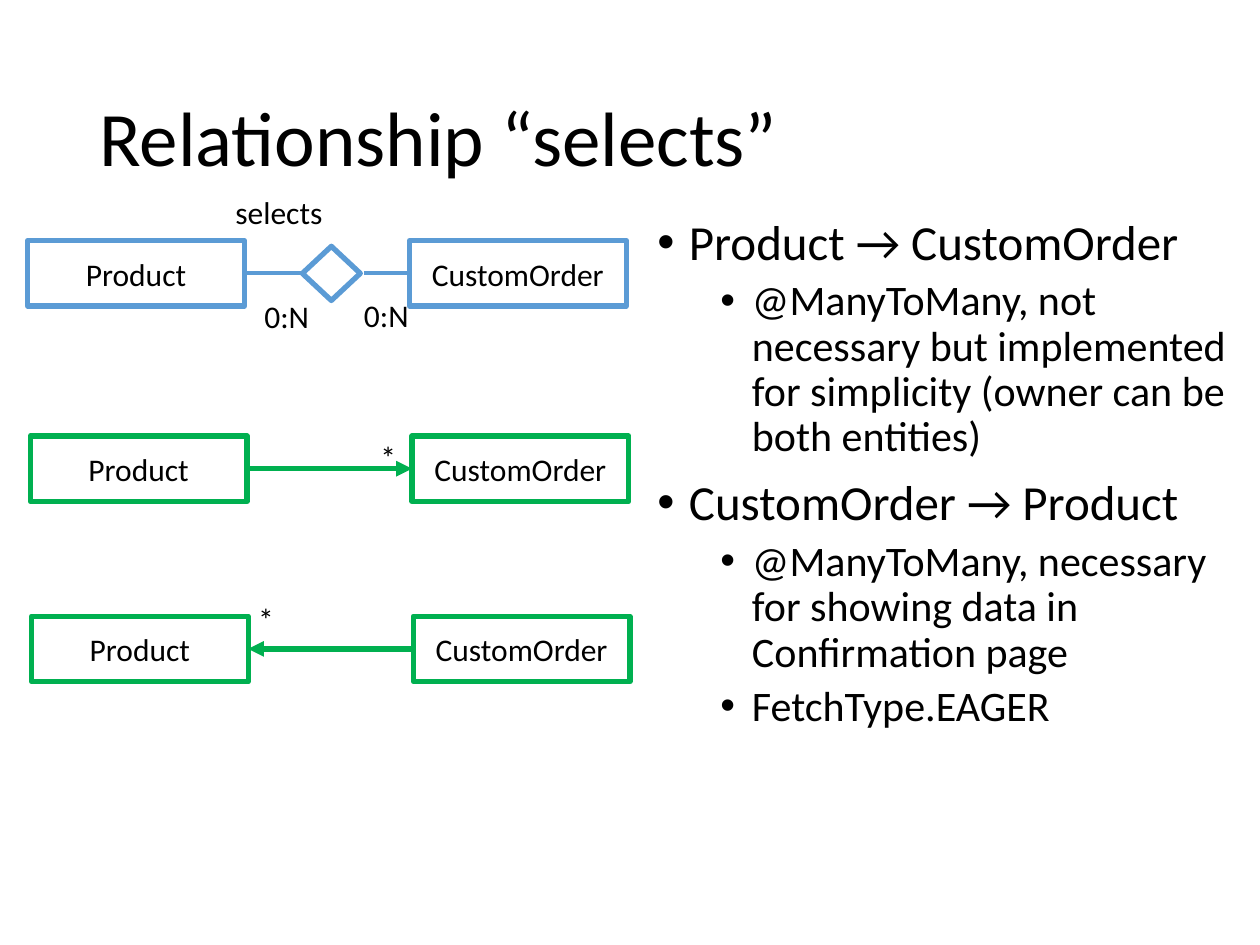
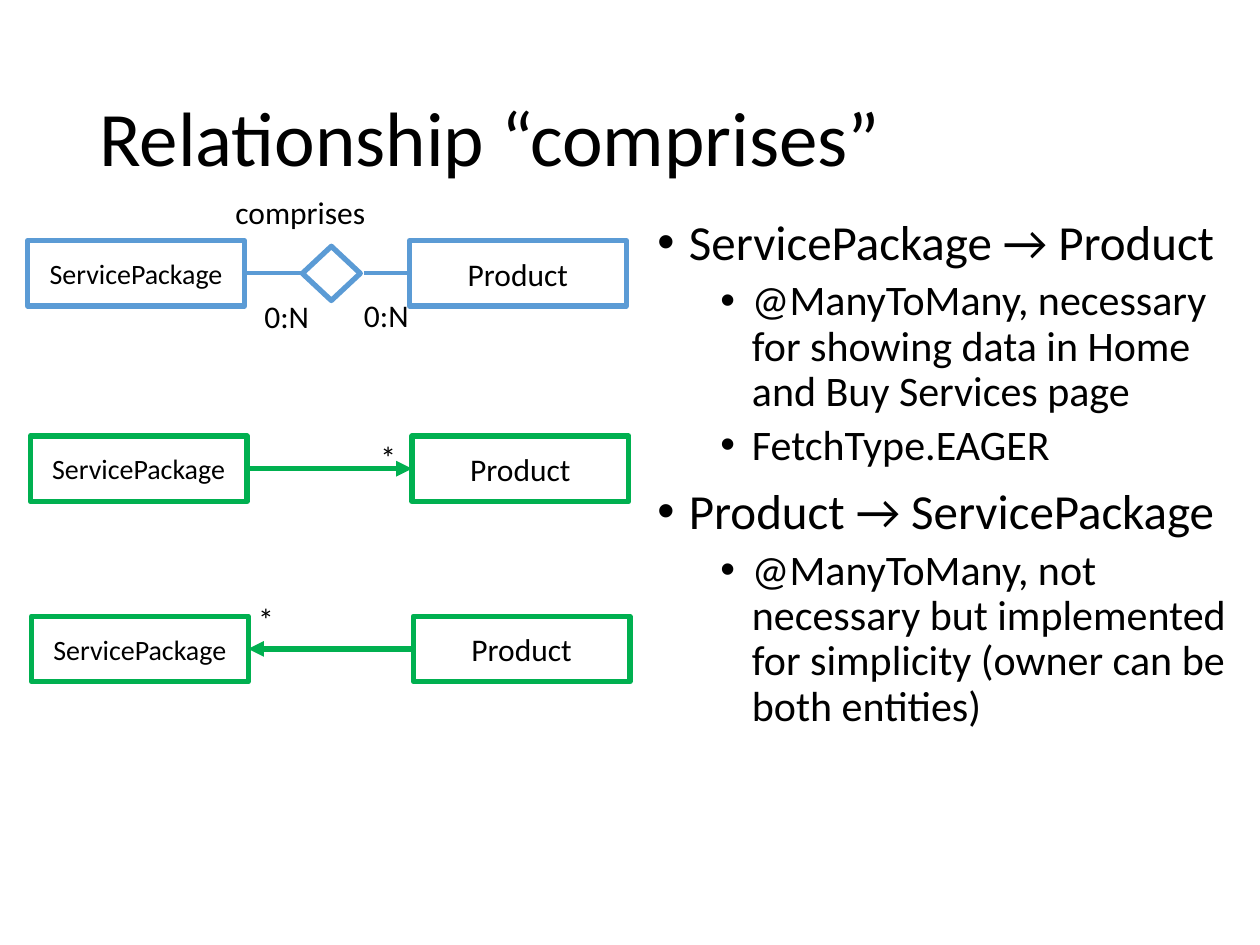
from dataclasses import dataclass
from typing import Any, Optional

from lxml.etree import SubElement
from pptx import Presentation
from pptx.dml.color import RGBColor
from pptx.enum.shapes import MSO_CONNECTOR, MSO_SHAPE
from pptx.enum.text import MSO_ANCHOR, MSO_AUTO_SIZE, PP_ALIGN
from pptx.oxml.ns import qn
from pptx.util import Inches, Pt


@dataclass(frozen=True)
class Theme:
    font: str = "Calibri"
    bullet_font: str = "Arial"
    text: RGBColor = RGBColor(0x00, 0x00, 0x00)
    paper: RGBColor = RGBColor(0xFF, 0xFF, 0xFF)
    schema: RGBColor = RGBColor(0x5B, 0x9B, 0xD5)
    mapping: RGBColor = RGBColor(0x00, 0xB0, 0x50)
    title_size: float = 44
    label_size: float = 18
    outline: float = 3
    thin_line: float = 2.25


@dataclass(frozen=True)
class Entity:
    name: str
    size: float = 18


@dataclass(frozen=True)
class Bullet:
    text: str
    level: int = 0


@dataclass(frozen=True)
class Relationship:
    name: str
    name_width: float
    source: Entity
    target: Entity
    bullets: tuple[Bullet, ...]


@dataclass(frozen=True)
class Row:
    left: float
    top: float
    color: RGBColor
    filled: bool = False


@dataclass(frozen=True)
class MappingRow:
    row: Row
    arrow_end: str
    star_left: float
    star_top: float


@dataclass(frozen=True)
class BulletStyle:
    size: float
    indent: float
    space_before: float


THEME = Theme()
BOX_WIDTH, BOX_HEIGHT, BOX_STEP = 1.72, 0.52, 3.03
DIAMOND_LEFT, DIAMOND_WIDTH, DIAMOND_HEIGHT = 2.4, 0.46, 0.43
DIAMOND_GAP = 0.03
LABEL_HEIGHT = 0.4
SCHEMA_ROW = Row(0.22, 1.91, THEME.schema, True)
MAPPING_ROWS = (
    MappingRow(Row(0.24, 3.46, THEME.mapping), "headEnd", 2.92, 3.43),
    MappingRow(Row(0.25, 4.89, THEME.mapping), "tailEnd", 1.95, 4.71),
)
BULLET_STYLES = (BulletStyle(28, 0.25, 10), BulletStyle(24, 0.75, 5))

ORDER = Entity("CustomOrder")
PRODUCT = Entity("Product")
PACKAGE = Entity("ServicePackage", 16)
OPTIONAL = Bullet(
    "@ManyToMany, not necessary but implemented for simplicity "
    "(owner can be both entities)", 1)
EAGER = Bullet("FetchType.EAGER", 1)

RELATIONSHIPS = (
    Relationship("selects", 0.9, PRODUCT, ORDER, (
        Bullet("Product → CustomOrder"),
        OPTIONAL,
        Bullet("CustomOrder → Product"),
        Bullet("@ManyToMany, necessary for showing data in Confirmation page", 1),
        EAGER,
    )),
    Relationship("comprises", 1.24, PACKAGE, PRODUCT, (
        Bullet("ServicePackage → Product"),
        Bullet("@ManyToMany, necessary for showing data in Home "
               "and Buy Services page", 1),
        EAGER,
        Bullet("Product → ServicePackage"),
        OPTIONAL,
    )),
)


def apply_format(target: Any, values: dict[str, Any]) -> None:
    for name, value in values.items():
        setattr(target, name, value)


def write(para: Any, text: str, size: float) -> None:
    span = para.add_run()
    span.text = text
    apply_format(span.font, {"name": THEME.font, "size": Pt(size)})
    span.font.color.rgb = THEME.text


def add_text_box(page: Any, left: float, top: float, width: float,
                 height: float, **values: Any) -> Any:
    box = page.shapes.add_textbox(
        Inches(left), Inches(top), Inches(width), Inches(height))
    apply_format(box.text_frame, {"word_wrap": True, **values})
    return box.text_frame


def add_title(page: Any, text: str) -> None:
    frame = add_text_box(page, 0.69, 0.4, 8.62, 1.45,
                         vertical_anchor=MSO_ANCHOR.MIDDLE)
    para = frame.paragraphs[0]
    para.line_spacing = 0.9
    write(para, text, THEME.title_size)


def add_label(page: Any, text: str, left: float, top: float,
              width: float) -> None:
    frame = add_text_box(page, left, top, width, LABEL_HEIGHT, word_wrap=False,
                         auto_size=MSO_AUTO_SIZE.SHAPE_TO_FIT_TEXT)
    write(frame.paragraphs[0], text, THEME.label_size)


def add_outlined(page: Any, kind: Any, left: float, top: float, width: float,
                 height: float, color: RGBColor, filled: bool) -> Any:
    shape = page.shapes.add_shape(
        kind, Inches(left), Inches(top), Inches(width), Inches(height))
    shape.shadow.inherit = False
    if filled:
        shape.fill.solid()
        shape.fill.fore_color.rgb = THEME.paper
    else:
        shape.fill.background()
    shape.line.color.rgb = color
    shape.line.width = Pt(THEME.outline)
    return shape


def add_entities(page: Any, row: Row, entities: tuple[Entity, ...]) -> list[Any]:
    boxes = []
    for index, entity in enumerate(entities):
        box = add_outlined(page, MSO_SHAPE.RECTANGLE, row.left + index * BOX_STEP,
                           row.top, BOX_WIDTH, BOX_HEIGHT, row.color, row.filled)
        apply_format(box.text_frame, {"word_wrap": True,
                                      "vertical_anchor": MSO_ANCHOR.MIDDLE})
        para = box.text_frame.paragraphs[0]
        para.alignment = PP_ALIGN.CENTER
        write(para, entity.name, entity.size)
        boxes.append(box)
    return boxes


def add_link(page: Any, right_box: Any, end_left: float, middle: float,
             color: RGBColor, width: float, left_shape: Optional[Any] = None,
             arrow_end: Optional[str] = None) -> None:
    link = page.shapes.add_connector(
        MSO_CONNECTOR.STRAIGHT, right_box.left, Inches(middle),
        Inches(end_left), Inches(middle))
    link.begin_connect(right_box, 1)
    if left_shape is not None:
        link.end_connect(left_shape, 3)
    link.line.color.rgb = color
    link.line.width = Pt(width)
    if arrow_end:
        SubElement(link.line._get_or_add_ln(), qn(f"a:{arrow_end}"), type="triangle")
    SubElement(link._element.spPr, qn("a:effectLst"))


def add_schema(page: Any, relationship: Relationship) -> None:
    row = SCHEMA_ROW
    middle = row.top + BOX_HEIGHT / 2
    source, target = add_entities(
        page, row, (relationship.source, relationship.target))
    diamond = add_outlined(
        page, MSO_SHAPE.DIAMOND, DIAMOND_LEFT, middle - DIAMOND_HEIGHT / 2,
        DIAMOND_WIDTH, DIAMOND_HEIGHT, row.color, row.filled)
    add_link(page, target, DIAMOND_LEFT + DIAMOND_WIDTH + DIAMOND_GAP, middle,
             row.color, THEME.thin_line)
    add_link(page, diamond, row.left + BOX_WIDTH, middle, row.color,
             THEME.thin_line, source)
    add_label(page, "0:N", 2.79, 2.3, 0.56)
    add_label(page, "0:N", 2, 2.31, 0.56)
    add_label(page, relationship.name, 1.77, 1.48, relationship.name_width)


def add_mapping(page: Any, mapping: MappingRow, relationship: Relationship) -> None:
    row = mapping.row
    source, target = add_entities(
        page, row, (relationship.source, relationship.target))
    add_link(page, target, row.left + BOX_WIDTH, row.top + BOX_HEIGHT / 2,
             row.color, THEME.outline, source, mapping.arrow_end)
    add_label(page, "*", mapping.star_left, mapping.star_top, 0.33)


def add_bullets(page: Any, bullets: tuple[Bullet, ...]) -> None:
    frame = add_text_box(page, 5.12, 1.68, 4.77, 4.76)
    for index, bullet in enumerate(bullets):
        para = frame.add_paragraph() if index else frame.paragraphs[0]
        style = BULLET_STYLES[bullet.level]
        apply_format(para, {"level": bullet.level, "line_spacing": 0.9,
                            "space_before": Pt(style.space_before)})
        properties = para._p.get_or_add_pPr()
        properties.set("marL", str(Inches(style.indent)))
        properties.set("indent", str(Inches(-0.25)))
        SubElement(properties, qn("a:buFont"), typeface=THEME.bullet_font)
        SubElement(properties, qn("a:buChar"), char="•")
        write(para, bullet.text, style.size)


def add_relationship_page(deck: Any, relationship: Relationship) -> None:
    page = deck.slides.add_slide(deck.slide_layouts[6])
    add_title(page, f"Relationship “{relationship.name}”")
    add_schema(page, relationship)
    for mapping in MAPPING_ROWS:
        add_mapping(page, mapping, relationship)
    add_bullets(page, relationship.bullets)


def main() -> None:
    deck = Presentation()
    apply_format(deck, {"slide_width": Inches(10), "slide_height": Inches(7.5)})
    for relationship in RELATIONSHIPS:
        add_relationship_page(deck, relationship)
    deck.save("out.pptx")


if __name__ == "__main__":
    main()
